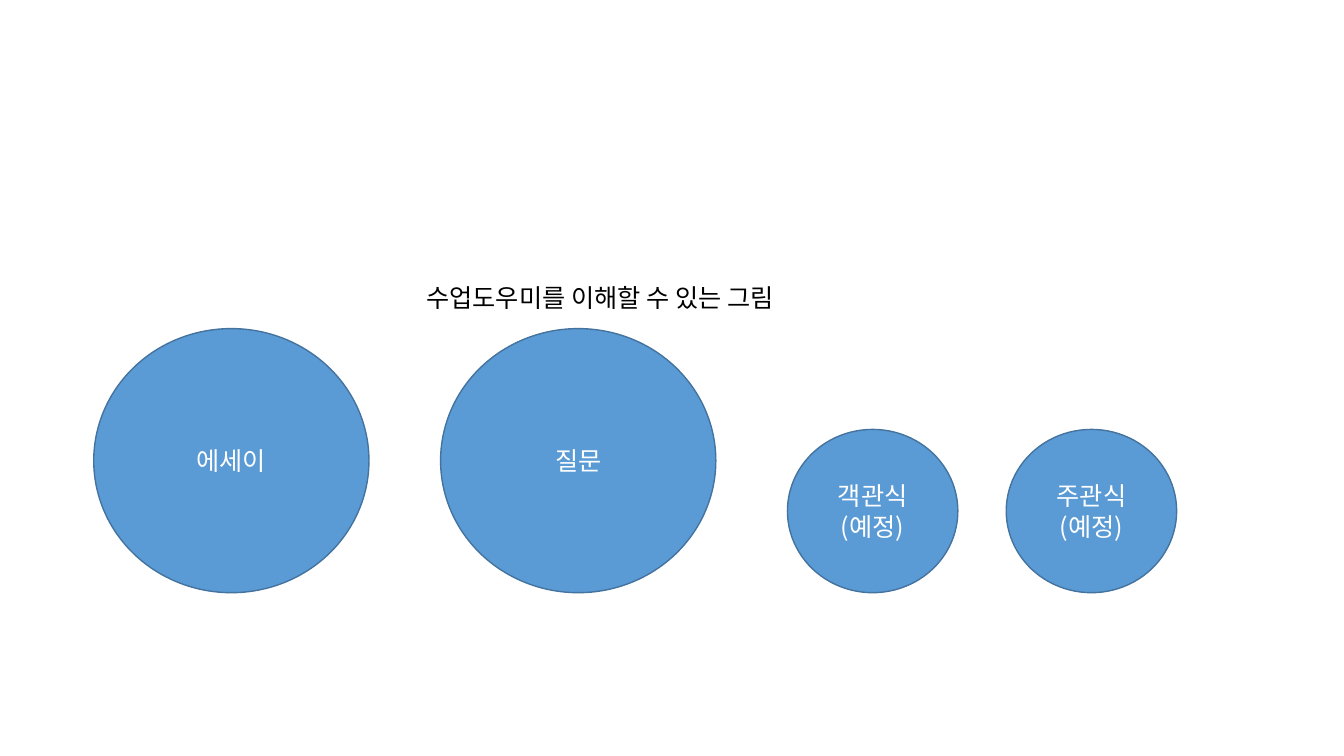
import pptx
import pptx.util
import pptx.dml.color
import pptx.enum.shapes
import pptx.enum.text
import lxml.etree

Inches = pptx.util.Inches
FONT = "Noto Sans CJK KR"
COLORS = {"circle": "5B9BD5", "outline": "43739E", "label": "FFFFFF", "title": "000000"}


def rgb(name):
    """Return the named colour from the palette."""
    return pptx.dml.color.RGBColor.from_string(COLORS[name])


def write_text(shape, text, color, size=18, align="LEFT", anchor="TOP"):
    """Put one formatted paragraph into a shape."""
    frame = shape.text_frame
    frame.word_wrap = True
    frame.vertical_anchor = getattr(pptx.enum.text.MSO_ANCHOR, anchor)
    para = frame.paragraphs[0]
    para.alignment = getattr(pptx.enum.text.PP_ALIGN, align)
    span = para.add_run()
    span.text = text
    span.font.name = FONT
    span.font.size = pptx.util.Pt(size)
    span.font.color.rgb = rgb(color)
    # East Asian text takes its typeface from a:ea
    properties = span.font._element
    latin = properties.find(pptx.oxml.ns.qn("a:latin"))
    east_asian = lxml.etree.Element(pptx.oxml.ns.qn("a:ea"), typeface=FONT)
    latin.addnext(east_asian)


deck = pptx.Presentation()
deck.slide_width = Inches(13.33)
deck.slide_height = Inches(7.5)
page = deck.slides.add_slide(deck.slide_layouts[6])

# All circles stand on one baseline
BASELINE = 5.88
LARGE = (2.73, 2.62)
SMALL = (1.69, 1.62)
circles = [
    ("에세이", 0.93, LARGE),
    ("질문", 4.37, LARGE),
    ("객관식(예정)", 7.81, SMALL),
    ("주관식(예정)", 9.98, SMALL),
]
for label, left, (width, height) in circles:
    circle = page.shapes.add_shape(
        pptx.enum.shapes.MSO_SHAPE.OVAL,
        Inches(left), Inches(BASELINE - height), Inches(width), Inches(height))
    circle.shadow.inherit = False
    circle.fill.solid()
    circle.fill.fore_color.rgb = rgb("circle")
    circle.line.color.rgb = rgb("outline")
    circle.line.width = pptx.util.Pt(1)
    write_text(circle, label, "label", align="CENTER", anchor="MIDDLE")

title = page.shapes.add_textbox(Inches(4.13), Inches(2.75), Inches(4.23), Inches(0.4))
write_text(title, "수업도우미를 이해할 수 있는 그림", "title")
title.text_frame.auto_size = pptx.enum.text.MSO_AUTO_SIZE.SHAPE_TO_FIT_TEXT

deck.save("out.pptx")
